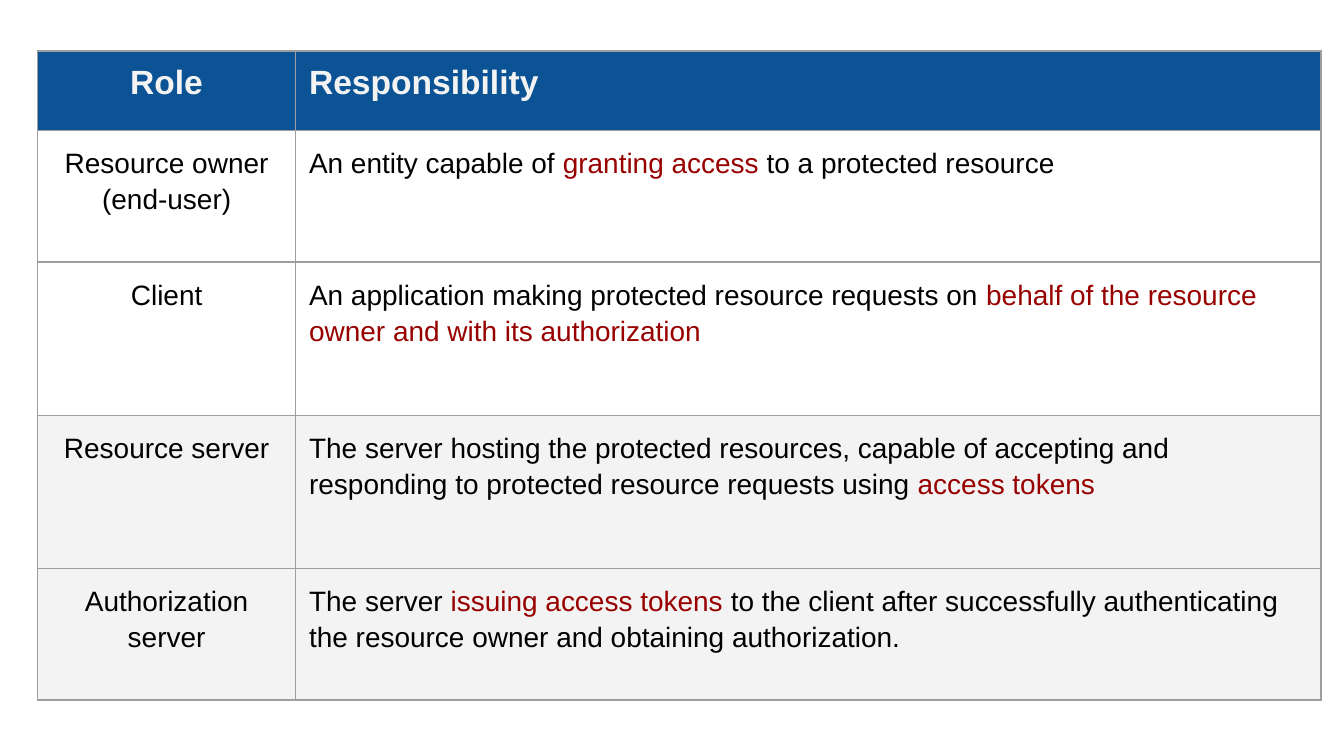
import dataclasses

import lxml.etree
import pptx
import pptx.dml.color
import pptx.enum.text
import pptx.oxml.ns
import pptx.util

Inches = pptx.util.Inches
Pt = pptx.util.Pt
ALIGN = pptx.enum.text.PP_ALIGN


@dataclasses.dataclass
class Theme:
    font: str = "Arial"
    head_size: float = 18
    body_size: float = 15
    head_fill: str = "0B5394"
    head_ink: str = "F3F3F3"
    ink: str = "000000"
    accent: str = "980000"
    band: str = "F3F3F3"
    line: str = "9E9E9E"
    line_width: float = 0.75
    inset: float = 0.1


def color(code):
    return pptx.dml.color.RGBColor.from_string(code)


def write(frame, text, *, font, size, ink, accent, bold=False,
          align=ALIGN.LEFT, spacing=None):
    """Fill a frame: newlines split paragraphs, *stars* mark accented words."""
    for row, line in enumerate(text.split("\n")):
        para = frame.add_paragraph() if row else frame.paragraphs[0]
        para.alignment = align
        para.line_spacing = spacing
        for part, words in enumerate(line.split("*")):
            if not words:
                continue
            run = para.add_run()
            run.text = words
            run.font.name = font
            run.font.size = Pt(size)
            run.font.bold = bold
            run.font.color.rgb = color(accent if part % 2 else ink)


class Deck:
    """Holds the theme and the current slide."""

    def __init__(self, theme, width, ratio):
        self.theme = theme
        self.show = pptx.Presentation()
        self.show.slide_width = Inches(width)
        self.show.slide_height = Inches(width / ratio)
        self.slide = None

    def add_slide(self):
        self.slide = self.show.slides.add_slide(self.show.slide_layouts[6])

    def border(self, cell):
        qn = pptx.oxml.ns.qn
        props = cell._tc.get_or_add_tcPr()
        for side in ("lnL", "lnR", "lnT", "lnB"):
            line = lxml.etree.SubElement(
                props, qn(f"a:{side}"), w=str(Pt(self.theme.line_width)))
            fill = lxml.etree.SubElement(line, qn("a:solidFill"))
            lxml.etree.SubElement(fill, qn("a:srgbClr"), val=self.theme.line)

    def cell(self, cell, text, *, fill=None, **form):
        self.border(cell)
        inset = Inches(self.theme.inset)
        cell.margin_left = cell.margin_right = inset
        cell.margin_top = cell.margin_bottom = inset
        if fill:
            cell.fill.solid()
            cell.fill.fore_color.rgb = color(fill)
        else:
            cell.fill.background()
        write(cell.text_frame, text, font=self.theme.font,
              accent=self.theme.accent, **form)

    def table(self, left, top, widths, heights, rows, bands):
        """Add a table with a header row; bands holds the shaded row numbers."""
        theme = self.theme
        frame = self.slide.shapes.add_table(
            len(heights), len(widths), Inches(left), Inches(top),
            Inches(sum(widths)), Inches(sum(heights)))
        table = frame.table
        table.horz_banding = False
        for column, width in zip(table.columns, widths):
            column.width = Inches(width)
        for row, height in zip(table.rows, heights):
            row.height = Inches(height)

        head = dict(fill=theme.head_fill, size=theme.head_size,
                    ink=theme.head_ink, bold=True)
        body = dict(size=theme.body_size, ink=theme.ink, spacing=1.15)
        for r, texts in enumerate(rows):
            shade = theme.band if r in bands else None
            form = dict(body, fill=shade) if r else head
            for c, text in enumerate(texts):
                align = ALIGN.LEFT if c else ALIGN.CENTER
                self.cell(table.cell(r, c), text, align=align, **form)


ROLES = [
    ("Role", "Responsibility"),
    ("Resource owner\n(end-user)",
     "An entity capable of *granting access *to a protected resource"),
    ("Client",
     "An application making protected resource requests on "
     "*behalf of the resource owner and with its authorization*"),
    ("Resource server",
     "The server hosting the protected resources, capable of accepting and "
     "responding to protected resource requests using *access tokens*"),
    ("Authorization server",
     "The server *issuing access tokens *to the client after successfully "
     "authenticating the resource owner and obtaining authorization."),
]


def main():
    deck = Deck(Theme(), 10, ratio=16 / 9)
    deck.add_slide()
    deck.table(0.28, 0.38, widths=[1.92, 7.63],
               heights=[0.59, 0.98, 1.14, 1.14, 0.98],
               rows=ROLES, bands={3, 4})
    deck.show.save("out.pptx")


if __name__ == "__main__":
    main()
